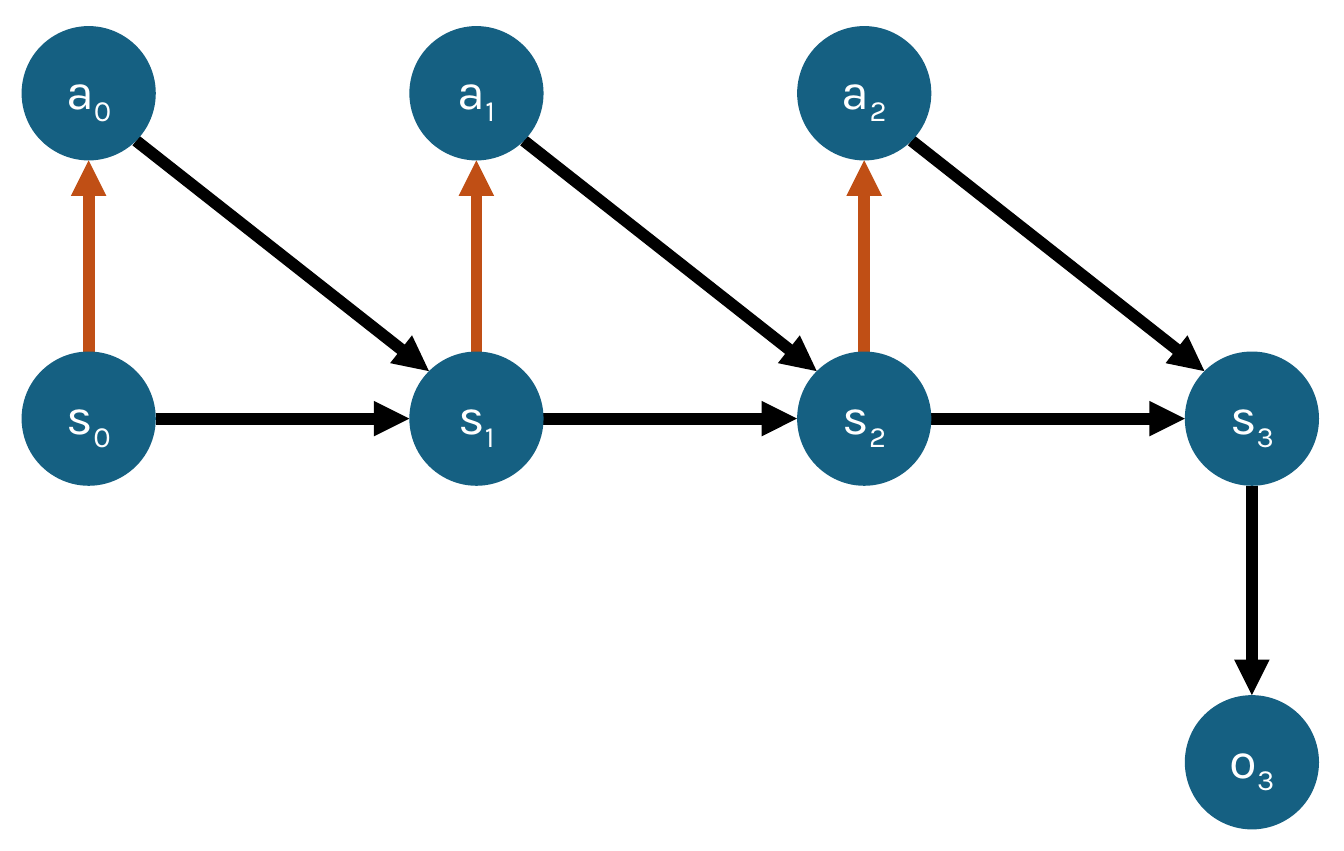
from dataclasses import dataclass
from math import cos, radians, sin

from lxml import etree
from pptx import Presentation
from pptx.dml.color import RGBColor
from pptx.enum import shapes, text
from pptx.oxml import ns
from pptx.slide import Slide
from pptx.util import Inches, Pt

NODE_FILL = RGBColor(0x15, 0x60, 0x82)
NODE_TEXT = RGBColor(0xFF, 0xFF, 0xFF)
TRANSITION = RGBColor(0x00, 0x00, 0x00)
POLICY = RGBColor(0xC0, 0x4F, 0x15)

DIAMETER = 0.59
FIRST_X, STEP_X = 0.39, 1.705
ROW_Y = {"a": 0.41, "s": 1.84, "o": 3.35}
LAST_STEP = 3
FONT = {"name": "Karla", "size": Pt(16)}
FRAME = {
    "margin_left": 0, "margin_right": 0, "margin_top": 0, "margin_bottom": 0,
    "word_wrap": False, "vertical_anchor": text.MSO_ANCHOR.MIDDLE,
}

# Directions on a node's rim, in degrees clockwise from the right
RIGHT, LOWER_RIGHT, BOTTOM, LEFT, UPPER_LEFT, TOP = 0, 45, 90, 180, 225, 270


@dataclass(frozen=True)
class Node:
    letter: str
    step: int

    @property
    def center(self) -> tuple[float, float]:
        return FIRST_X + self.step * STEP_X, ROW_Y[self.letter]

    def rim(self, angle: float) -> tuple[float, float]:
        x, y = self.center
        radius = DIAMETER / 2
        return x + radius * cos(radians(angle)), y + radius * sin(radians(angle))


@dataclass(frozen=True)
class Arrow:
    source: Node
    leaves: float
    target: Node
    enters: float
    color: RGBColor = TRANSITION


def set_all(item: object, values: dict) -> None:
    for name, value in values.items():
        setattr(item, name, value)


def draw_arrow(page: Slide, arrow: Arrow) -> None:
    ends = (*arrow.source.rim(arrow.leaves), *arrow.target.rim(arrow.enters))
    connector = page.shapes.add_connector(
        shapes.MSO_CONNECTOR.STRAIGHT, *(Inches(value) for value in ends))
    connector.line.width = Pt(3.75)
    connector.line.color.rgb = arrow.color
    etree.SubElement(connector.line._get_or_add_ln(), ns.qn("a:tailEnd"), type="triangle")
    etree.SubElement(connector._element.spPr, ns.qn("a:effectLst"))


def draw_node(page: Slide, node: Node) -> None:
    """Draw a circle holding the letter with its step as a subscript."""
    left, top = (Inches(value - DIAMETER / 2) for value in node.center)
    circle = page.shapes.add_shape(
        shapes.MSO_SHAPE.OVAL, left, top, Inches(DIAMETER), Inches(DIAMETER))
    circle.shadow.inherit = False
    circle.fill.solid()
    circle.fill.fore_color.rgb = NODE_FILL
    circle.line.fill.background()
    set_all(circle.text_frame, FRAME)
    para = circle.text_frame.paragraphs[0]
    para.alignment = text.PP_ALIGN.CENTER
    for content in (node.letter, str(node.step)):
        span = para.add_run()
        span.text = content
        set_all(span.font, FONT)
        span.font.color.rgb = NODE_TEXT
    span.font._element.set("baseline", "-25000")


def main() -> None:
    deck = Presentation()
    deck.slide_width, deck.slide_height = Inches(5.91), Inches(3.74)
    page = deck.slides.add_slide(deck.slide_layouts[6])

    states = [Node("s", step) for step in range(LAST_STEP + 1)]
    actions = [Node("a", step) for step in range(LAST_STEP)]
    outcome = Node("o", LAST_STEP)

    arrows = [Arrow(states[LAST_STEP], BOTTOM, outcome, TOP)]
    for state, action, following in zip(states, actions, states[1:]):
        arrows += [
            Arrow(state, RIGHT, following, LEFT),
            Arrow(action, LOWER_RIGHT, following, UPPER_LEFT),
            Arrow(state, TOP, action, BOTTOM, POLICY),
        ]

    for arrow in arrows:
        draw_arrow(page, arrow)
    for node in (*states, *actions, outcome):
        draw_node(page, node)
    deck.save("out.pptx")


if __name__ == "__main__":
    main()
